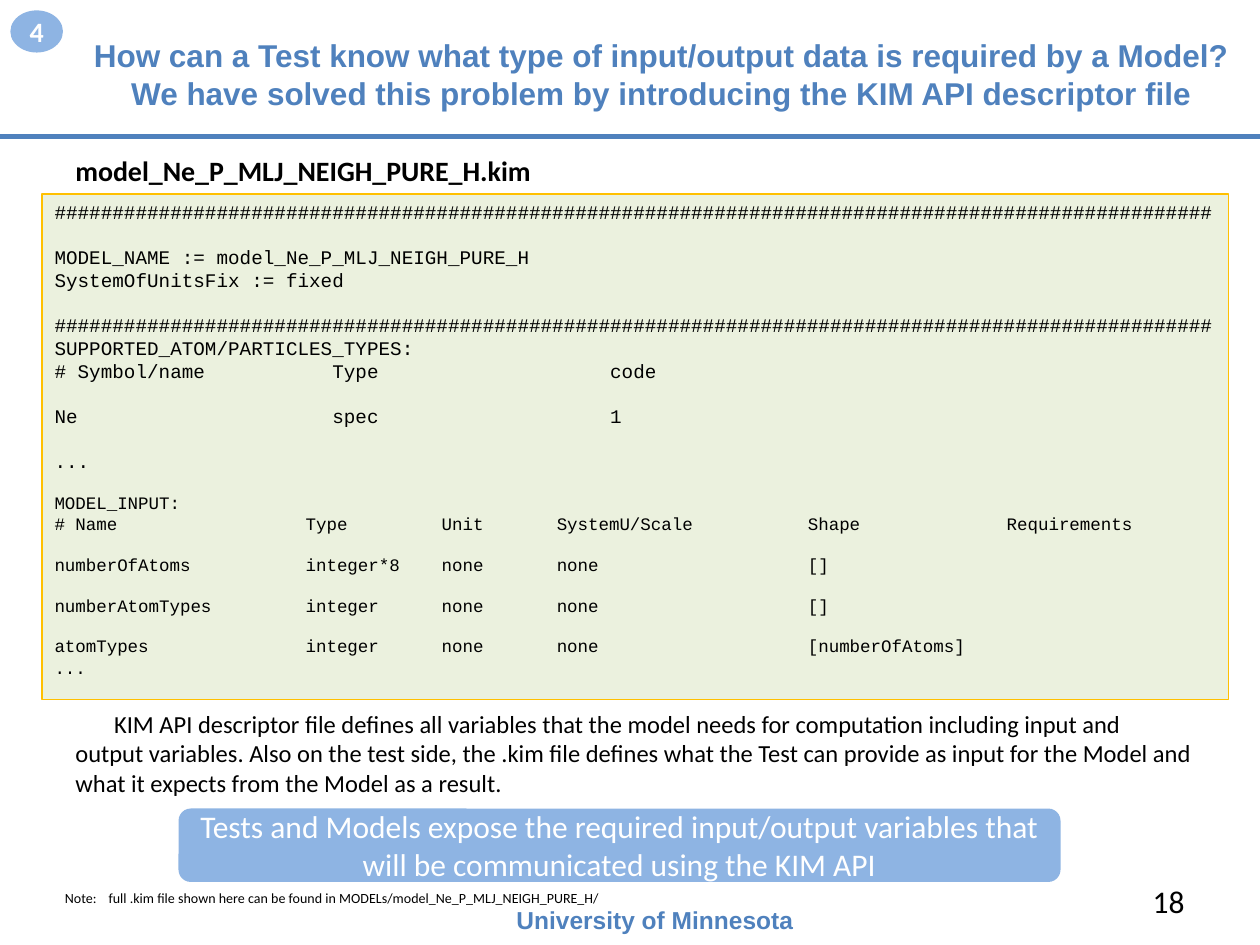
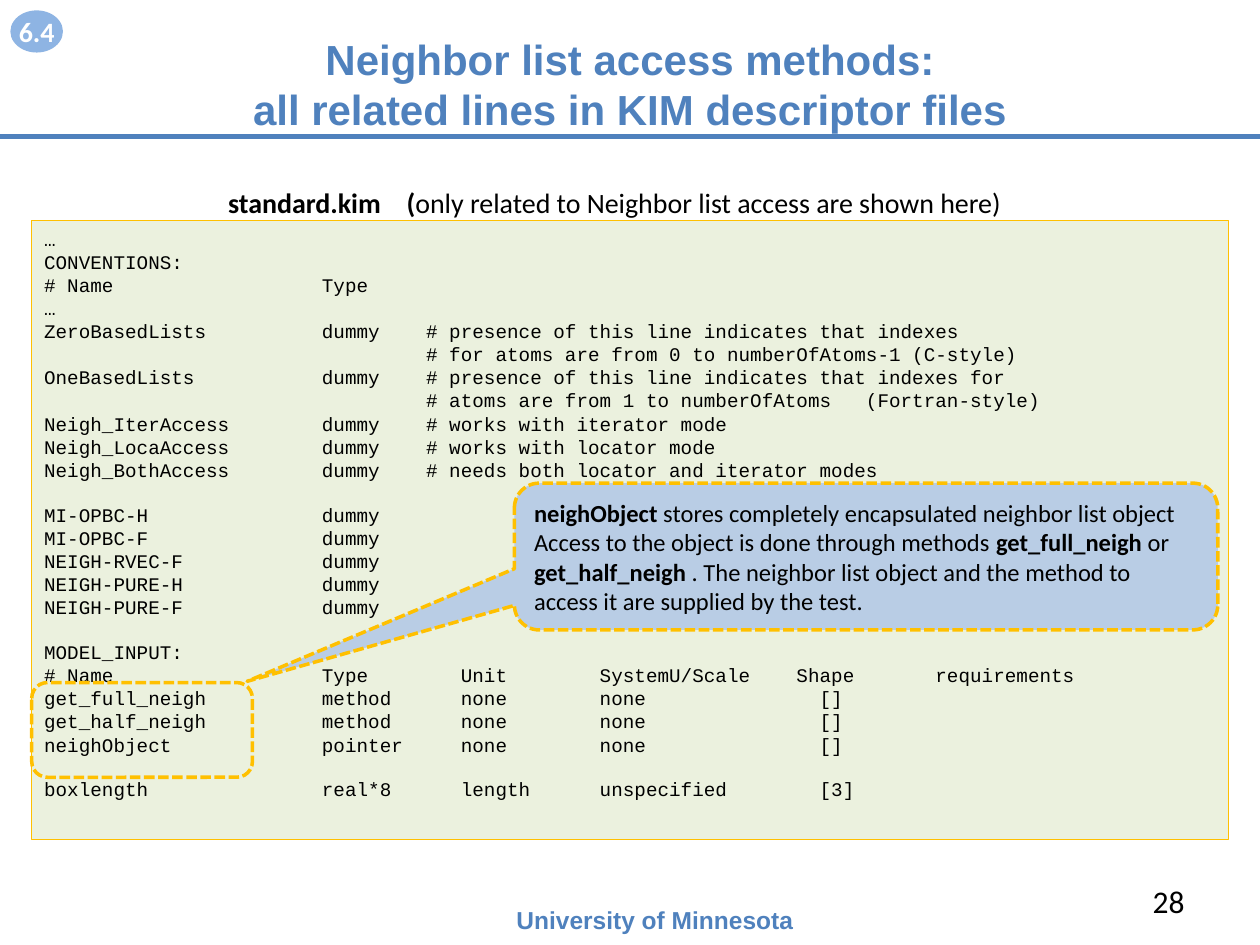
from dataclasses import dataclass

from lxml import etree
from pptx import Presentation
from pptx.dml.color import RGBColor
from pptx.enum.dml import MSO_LINE
from pptx.enum.shapes import MSO_CONNECTOR, MSO_SHAPE as Preset
from pptx.enum.text import MSO_ANCHOR as Anchor, MSO_AUTO_SIZE as AutoSize, PP_ALIGN as Align
from pptx.oxml.ns import qn
from pptx.util import Cm, Pt

COLOURS = {
    "blue": "4F81BD",
    "sky": "8EB4E3",
    "pale_blue": "B9CDE5",
    "code_fill": "EBF1DE",
    "amber": "FFC000",
    "black": "000000",
    "white": "FFFFFF",
}
HEADING_FONT, BODY_FONT, CODE_FONT = "Arial", "Calibri", "Courier New"
CODE_LEADING = 1.13
HASHES = "#" * 100


@dataclass(frozen=True)
class Area:
    """A rectangle in centimetres."""
    left: float
    top: float
    width: float
    height: float

    def lengths(self) -> tuple:
        return Cm(self.left), Cm(self.top), Cm(self.width), Cm(self.height)


@dataclass(frozen=True)
class Style:
    size: float
    colour: str = "black"
    font: str = BODY_FONT
    bold: bool = False
    align: Align = Align.LEFT


@dataclass(frozen=True)
class Outline:
    width: float
    dashed: bool = False


@dataclass(frozen=True)
class Header:
    title: str
    title_area: Area
    title_size: int
    title_inset: float
    badge: str
    number: str


BADGE = Area(0.21, 0.21, 1.06, 0.85)
FOOTER = Area(10.16, 18.11, 6.78, 0.86)
NUMBER = Area(18.2, 17.65, 5.93, 1.02)
CAPTION = Style(16, bold=True)
PROSE = Style(14)
THIN, DASHED = Outline(0.75), Outline(2, dashed=True)

MODEL_HEAD = f"""{HASHES}

MODEL_NAME := model_Ne_P_MLJ_NEIGH_PURE_H
SystemOfUnitsFix := fixed

{HASHES}
SUPPORTED_ATOM/PARTICLES_TYPES:
# Symbol/name           Type                    code

Ne                      spec                    1

..."""

MODEL_INPUT = """
MODEL_INPUT:
# Name                  Type         Unit       SystemU/Scale           Shape              Requirements

numberOfAtoms           integer*8    none       none                    []

numberAtomTypes         integer      none       none                    []

atomTypes               integer      none       none                    [numberOfAtoms]
..."""

LIST_CONVENTIONS = """…
CONVENTIONS:
# Name                  Type
…
ZeroBasedLists          dummy    # presence of this line indicates that indexes
                                 # for atoms are from 0 to numberOfAtoms-1 (C-style)
OneBasedLists           dummy    # presence of this line indicates that indexes for
                                 # atoms are from 1 to numberOfAtoms   (Fortran-style)
Neigh_IterAccess        dummy    # works with iterator mode
Neigh_LocaAccess        dummy    # works with locator mode
Neigh_BothAccess        dummy    # needs both locator and iterator modes"""

NEIGHBOR_CONVENTIONS = """
MI-OPBC-H               dummy
MI-OPBC-F               dummy
NEIGH-RVEC-F            dummy
NEIGH-PURE-H            dummy
NEIGH-PURE-F            dummy"""

NEIGHBOR_INPUT = """
MODEL_INPUT:
# Name                  Type        Unit        SystemU/Scale    Shape       requirements
get_full_neigh          method      none        none               []
get_half_neigh          method      none        none               []
neighObject             pointer     none        none               []

boxlength               real*8      length      unspecified        [3]"""


def rgb(name: str) -> RGBColor:
    return RGBColor.from_string(COLOURS[name])


def format_para(para, style: Style) -> None:
    para.alignment = style.align
    font = para.font
    font.name, font.size, font.bold = style.font, Pt(style.size), style.bold
    font.color.rgb = rgb(style.colour)


def fill_spans(para, spans: list[tuple[str, bool]], style: Style) -> None:
    """Write runs that differ only in weight."""
    format_para(para, style)
    for words, bold in spans:
        span = para.add_run()
        span.text = words
        span.font.bold = bold


def set_indent(para, left: float, first: float) -> None:
    properties = para._p.get_or_add_pPr()
    properties.set("marL", str(Cm(left)))
    properties.set("indent", str(Cm(first)))


def add_tab_stop(para, position: float) -> None:
    tabs = etree.SubElement(para._p.get_or_add_pPr(), qn("a:tabLst"))
    etree.SubElement(tabs, qn("a:tab"), pos=str(Cm(position)), algn="l")


def add_text(page, area: Area, style: Style, words: str = "", anchor=Anchor.TOP):
    box = page.shapes.add_textbox(*area.lengths())
    frame = box.text_frame
    frame.word_wrap = True
    frame.vertical_anchor = anchor
    para = frame.paragraphs[0]
    if words:
        para.text = words
        format_para(para, style)
    return box


def add_panel(page, preset, area: Area, fill: str | None = None,
              outline: Outline | None = None, anchor=Anchor.MIDDLE):
    panel = page.shapes.add_shape(preset, *area.lengths())
    panel.shadow.inherit = False
    if fill:
        panel.fill.solid()
        panel.fill.fore_color.rgb = rgb(fill)
    else:
        panel.fill.background()
    if outline:
        panel.line.color.rgb = rgb("amber")
        panel.line.width = Pt(outline.width)
        if outline.dashed:
            panel.line.dash_style = MSO_LINE.SQUARE_DOT
    else:
        panel.line.fill.background()
    panel.text_frame.word_wrap = True
    panel.text_frame.vertical_anchor = anchor
    return panel


def add_label(panel, words: str, style: Style) -> None:
    para = panel.text_frame.paragraphs[0]
    para.text = words
    format_para(para, style)


def add_code(page, area: Area, sections: list[tuple[str, int]]) -> None:
    """Draw a listing; an empty line becomes space before the next one."""
    panel = add_panel(page, Preset.RECTANGLE, area, "code_fill", THIN, Anchor.TOP)
    frame = panel.text_frame
    para = None
    for listing, size in sections:
        gap = 0.0
        for line in listing.split("\n"):
            if not line:
                gap = size * CODE_LEADING
                continue
            para = frame.add_paragraph() if para else frame.paragraphs[0]
            para.text = line
            if gap:
                para.space_before = Pt(gap)
            format_para(para, Style(size, font=CODE_FONT))
            gap = 0.0


def add_page(deck, header: Header):
    """Add a slide with title, badge, rule, footer and number."""
    page = deck.slides.add_slide(deck.slide_layouts[5])
    title = page.shapes.title
    title.left, title.top, title.width, title.height = header.title_area.lengths()
    frame = title.text_frame
    frame.word_wrap = True
    frame.auto_size = AutoSize.NONE
    frame.vertical_anchor = Anchor.MIDDLE
    frame.margin_top = Cm(header.title_inset)
    para = frame.paragraphs[0]
    para.text = header.title
    format_para(para, Style(header.title_size, "blue", HEADING_FONT, True, Align.CENTER))

    badge = add_panel(page, Preset.OVAL, BADGE, "sky")
    badge.text_frame.margin_left = badge.text_frame.margin_right = 0
    add_label(badge, header.badge, Style(16, "white", bold=True, align=Align.CENTER))

    rule = page.shapes.add_connector(MSO_CONNECTOR.STRAIGHT, 0, Cm(2.75), Cm(25.4), Cm(2.75))
    rule.line.color.rgb = rgb("blue")
    rule.line.width = Pt(3)
    etree.SubElement(rule._element.spPr, qn("a:effectLst"))

    add_text(page, FOOTER, Style(14, "blue", HEADING_FONT, True), "University of Minnesota")
    add_text(page, NUMBER, Style(18, align=Align.RIGHT), header.number, Anchor.MIDDLE)
    return page


def build_descriptor_page(deck) -> None:
    page = add_page(deck, Header(
        "How can a Test know what type of input/output data is required by a Model?\n"
        "We have solved this problem by introducing the KIM API descriptor file",
        Area(1.27, 0.64, 24.13, 1.7), 18, 0.13, "4", "18"))
    add_code(page, Area(0.85, 3.91, 23.92, 10.19), [(MODEL_HEAD, 11), (MODEL_INPUT, 10)])
    add_text(page, Area(1.27, 2.97, 10.16, 0.94), CAPTION, "model_Ne_P_MLJ_NEIGH_PURE_H.kim")
    note = add_text(page, Area(1.06, 17.81, 18.84, 0.61), Style(8),
                    "Note:\tfull .kim file shown here can be found in "
                    "MODELs/model_Ne_P_MLJ_NEIGH_PURE_H/")
    set_indent(note.text_frame.paragraphs[0], 0.88, -0.88)
    summary = add_text(
        page, Area(1.27, 14.17, 23.07, 2.74), PROSE,
        "KIM API descriptor file defines all variables that the model needs for computation "
        "including input and output variables. Also on the test side, the .kim file defines "
        "what the Test can provide as input for the Model and what it expects from the Model "
        "as a result.")
    set_indent(summary.text_frame.paragraphs[0], 0, 0.78)
    banner = add_panel(page, Preset.ROUNDED_RECTANGLE, Area(3.6, 16.3, 17.78, 1.48), "sky")
    add_label(banner, "Tests and Models expose the required input/output variables that "
              "will be communicated using the KIM API", Style(18, "white", align=Align.CENTER))


def build_neighbor_page(deck) -> None:
    page = add_page(deck, Header(
        "Neighbor list access methods:\nall related lines in KIM descriptor files",
        Area(1.27, 0.64, 22.86, 1.7), 24, 0.53, "6.4", "28"))
    add_code(page, Area(0.64, 4.45, 24.13, 12.47),
             [(LIST_CONVENTIONS, 11), (NEIGHBOR_CONVENTIONS, 11), (NEIGHBOR_INPUT, 11)])

    caption = add_text(page, Area(0.64, 3.61, 23.5, 0.94), CAPTION)
    caption.text_frame.margin_left = Cm(3.96)
    para = caption.text_frame.paragraphs[0]
    add_tab_stop(para, 3.6)
    fill_spans(para, [("standard.kim\t(", True),
                      ("only related to Neighbor list access are shown here)", False)], CAPTION)

    callout = add_panel(page, Preset.ROUNDED_RECTANGULAR_CALLOUT,
                        Area(10.37, 9.74, 14.18, 2.96), "pale_blue", DASHED)
    for index, value in enumerate((-0.88, 0.85, 0.17)):
        callout.adjustments[index] = value
    frame = callout.text_frame
    fill_spans(frame.paragraphs[0], [
        ("neighObject", True),
        (" stores completely encapsulated neighbor list object", False)], PROSE)
    fill_spans(frame.add_paragraph(), [
        ("Access to the object is done through methods ", False),
        ("get_full_neigh", True), (" or ", False), ("get_half_neigh", True),
        (" . The neighbor list object and the method to access it are supplied by the test.",
         False)], PROSE)
    add_panel(page, Preset.ROUNDED_RECTANGLE, Area(0.64, 13.76, 4.45, 1.91), outline=DASHED)


def main() -> None:
    deck = Presentation()
    deck.slide_width, deck.slide_height = Cm(25.4), Cm(19.05)
    build_descriptor_page(deck)
    build_neighbor_page(deck)
    deck.save("out.pptx")


if __name__ == "__main__":
    main()
